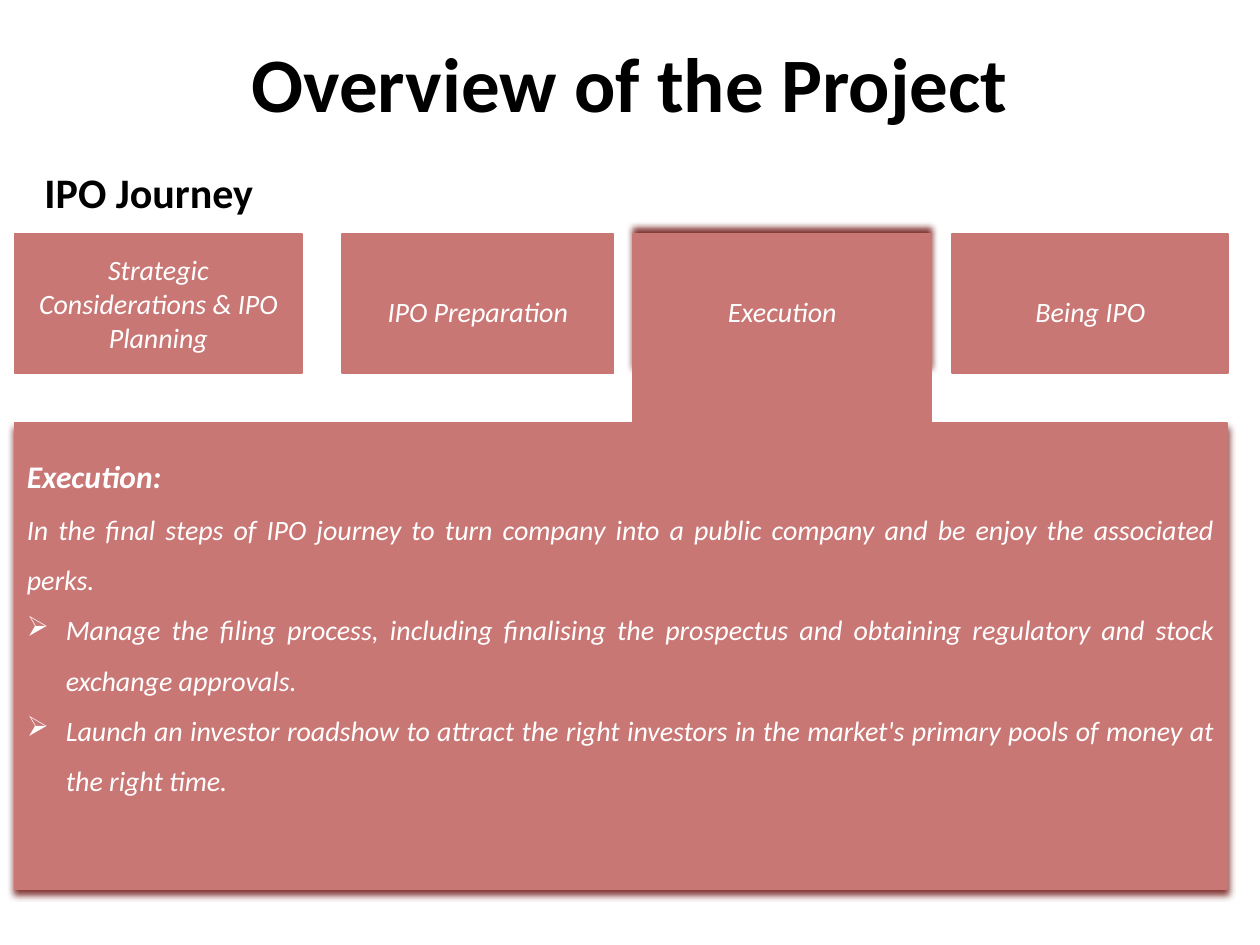
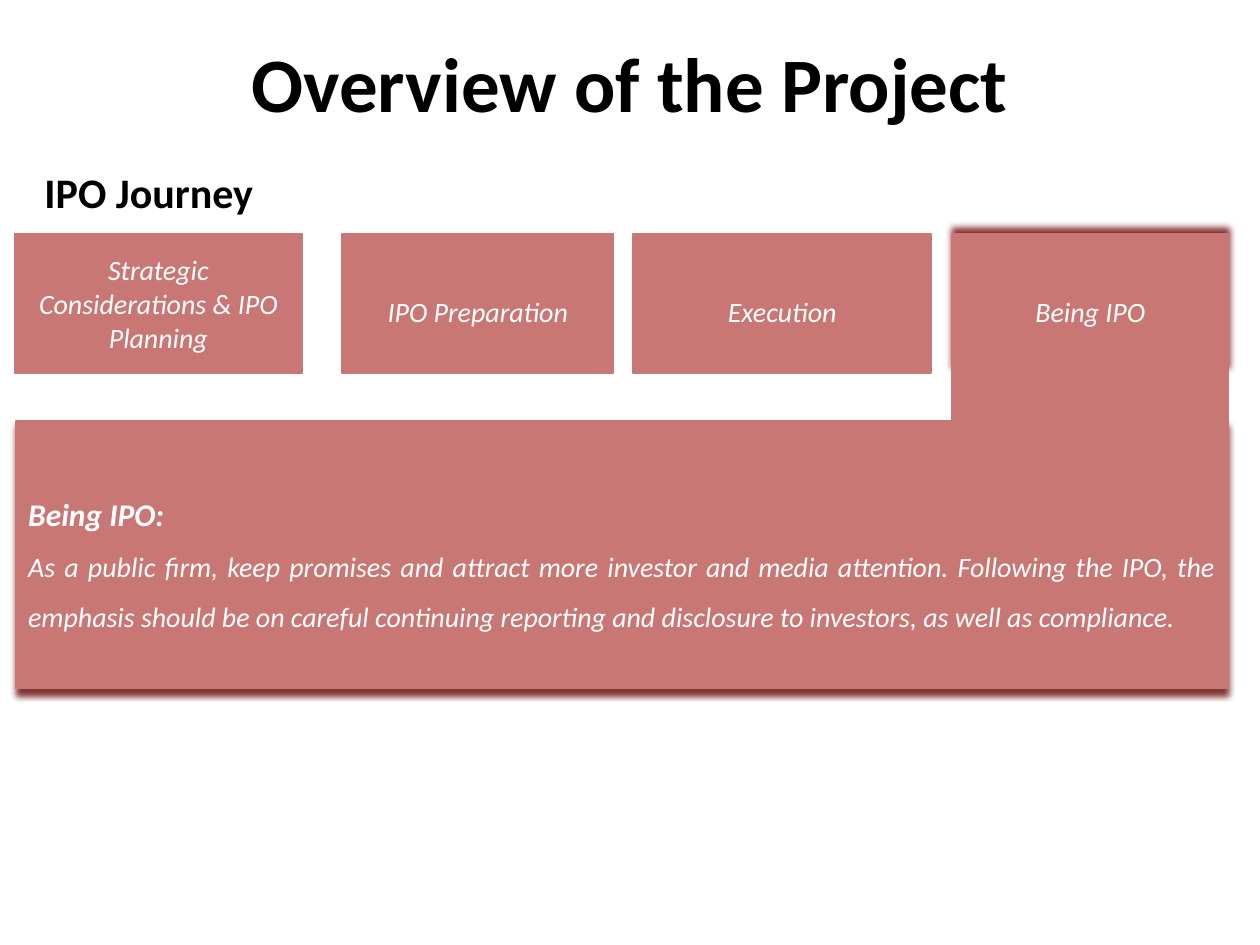
from dataclasses import dataclass

from lxml.etree import SubElement
from pptx import Presentation
from pptx.dml.color import RGBColor
from pptx.enum.shapes import MSO_SHAPE
from pptx.enum.text import MSO_ANCHOR, PP_ALIGN
from pptx.oxml.ns import qn
from pptx.shapes.autoshape import Shape
from pptx.slide import Slide
from pptx.util import Inches, Pt

ROSE = RGBColor(0xC9, 0x77, 0x75)
SHADE = RGBColor(0x82, 0x36, 0x34)
WHITE = RGBColor(0xFF, 0xFF, 0xFF)
BLACK = RGBColor(0x00, 0x00, 0x00)
FONT = "Calibri"
MARK = "OpenSymbol"

# The slide is a grid of 100 columns by 75 rows of square cells.
COLS, ROWS = 100, 75
WIDTH, HEIGHT = Inches(10), Inches(7.5)
CELL = WIDTH // COLS

TAB_TOP, TAB_ROWS = 18.55, 11.05
TAB_END = TAB_TOP + TAB_ROWS
UP, DOWN = 270, 90
INDENT = Inches(0.31)


@dataclass(frozen=True)
class Box:
    left: float
    top: float
    cols: float
    rows: float

    def place(self) -> tuple[int, ...]:
        return tuple(round(n * CELL) for n in (self.left, self.top, self.cols, self.rows))


@dataclass(frozen=True)
class Tab:
    name: str
    left: float
    cols: float
    space: float = 1.5


@dataclass(frozen=True)
class Line:
    text: str
    size: int = 16
    bold: bool = False
    bullet: bool = False


@dataclass(frozen=True)
class Page:
    active: int
    panel: Box
    lines: tuple[Line, ...]
    foot: float = 0.5  # rows kept free below the panel text


TABS = (
    Tab("Strategic Considerations & IPO Planning", 1.15, 22.85, 1.0),
    Tab("IPO Preparation", 27.15, 21.55),
    Tab("Execution", 50.25, 23.65),
    Tab("Being IPO", 75.58, 21.9),
)

PAGES = (
    Page(2, Box(1.15, 33.55, 96.25, 37), (
        Line("Execution:", 18, bold=True),
        Line("In the final steps of IPO journey to turn company into a public company "
             "and be enjoy the associated perks."),
        Line("Manage the filing process, including finalising the prospectus and "
             "obtaining regulatory and stock exchange approvals.", bullet=True),
        Line("Launch an investor roadshow to attract the right investors in the market's "
             "primary pools of money at the right time.", bullet=True),
    ), foot=6.5),
    Page(3, Box(1.25, 33.4, 96.2, 21.25), (
        Line("Being IPO:", 18, bold=True),
        Line("As a public firm, keep promises and attract more investor and media attention. "
             "Following the IPO, the emphasis should be on careful continuing reporting and "
             "disclosure to investors, as well as compliance."),
    )),
)


def write(shape: Shape, lines: tuple[Line, ...], align: PP_ALIGN, space: float,
          color: RGBColor = WHITE, slant: bool = True) -> None:
    frame = shape.text_frame
    frame.word_wrap = True
    frame.vertical_anchor = MSO_ANCHOR.MIDDLE
    for i, line in enumerate(lines):
        para = frame.add_paragraph() if i else frame.paragraphs[0]
        para.alignment = align
        para.line_spacing = space
        if line.bullet:
            props = para._p.get_or_add_pPr()
            props.set("marL", str(INDENT))
            props.set("indent", str(-INDENT))
            SubElement(props, qn("a:buFont")).set("typeface", MARK)
            SubElement(props, qn("a:buChar")).set("char", "➢")
        run = para.add_run()
        run.text = line.text
        font = run.font
        font.name, font.size = FONT, Pt(line.size)
        font.bold, font.italic = line.bold, slant
        font.color.rgb = color


def block(slide: Slide, box: Box, angle: int | None = None) -> Shape:
    """Draw a rose rectangle, with a shadow cast at the angle if one is given."""
    shape = slide.shapes.add_shape(MSO_SHAPE.RECTANGLE, *box.place())
    shape.fill.solid()
    shape.fill.fore_color.rgb = ROSE
    shape.line.color.rgb = ROSE
    shape.line.width = Pt(1)
    shape.shadow.inherit = False
    if angle is not None:
        cast = SubElement(shape._element.spPr.find(qn("a:effectLst")), qn("a:outerShdw"))
        for key, value in (("blurRad", Pt(4)), ("dist", Pt(3)), ("dir", angle * 60000),
                           ("algn", "ctr"), ("rotWithShape", 0)):
            cast.set(key, str(value))
        SubElement(cast, qn("a:srgbClr")).set("val", str(SHADE))
    return shape


def heads(slide: Slide) -> None:
    title = slide.shapes.add_textbox(*Box(5, 3, 90, 6.9).place())
    write(title, (Line("Overview of the Project", 44, bold=True),),
          PP_ALIGN.CENTER, 1.0, BLACK, slant=False)
    sub = slide.shapes.add_textbox(*Box(2.55, 10.7, 90, 7.5).place())
    write(sub, (Line("IPO Journey", 24, bold=True),), PP_ALIGN.LEFT, 1.5, BLACK, slant=False)
    sub.text_frame.vertical_anchor = MSO_ANCHOR.TOP
    sub.text_frame.paragraphs[0].space_before = Pt(4.8)


def draw(slide: Slide, page: Page) -> None:
    heads(slide)
    for i, tab in enumerate(TABS):
        shape = block(slide, Box(tab.left, TAB_TOP, tab.cols, TAB_ROWS),
                      UP if i == page.active else None)
        write(shape, (Line(tab.name),), PP_ALIGN.CENTER, tab.space)
    panel = block(slide, page.panel, DOWN)
    write(panel, page.lines, PP_ALIGN.JUSTIFY, 1.5)
    panel.text_frame.margin_bottom = round(page.foot * CELL)
    tab = TABS[page.active]
    block(slide, Box(tab.left, TAB_END, tab.cols, page.panel.top - TAB_END))


def main() -> None:
    deck = Presentation()
    deck.slide_width, deck.slide_height = WIDTH, HEIGHT
    blank = deck.slide_layouts[6]
    for page in PAGES:
        draw(deck.slides.add_slide(blank), page)
    deck.save("out.pptx")


if __name__ == "__main__":
    main()
